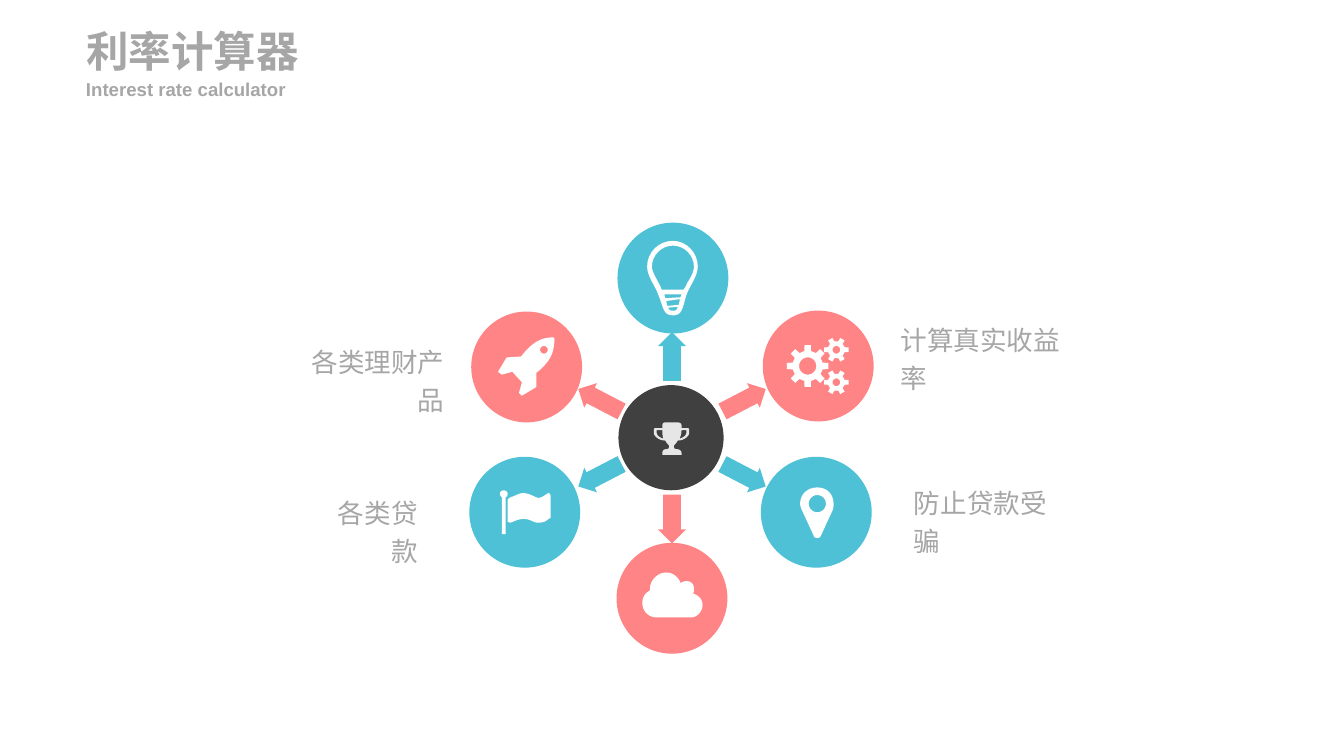
"""Build the interest rate calculator slide: a hub with six linked icons."""
from math import cos, pi, radians, sin

from pptx import Presentation
from pptx.dml.color import RGBColor
from pptx.enum.shapes import MSO_SHAPE
from pptx.enum.text import MSO_ANCHOR, MSO_AUTO_SIZE, PP_ALIGN
from pptx.util import Inches, Pt

TEAL, CORAL, DARK, PALE, WHITE, GREY = "4EC1D6", "FF8486", "404040", "E7E6E6", "FFFFFF", "A6A6A6"
CURVE_STEPS = 8


def ring(x, y, radius):
    """Return the points of a circular contour."""
    return [(x + radius * cos(k * pi / 18), y + radius * sin(k * pi / 18)) for k in range(36)]


def gear(x, y, tip, root, teeth):
    """Return the points of a toothed wheel."""
    pitch = 2 * pi / teeth
    profile = [(-0.28, root), (-0.19, tip), (0.19, tip), (0.28, root)]
    return [(x + radius * cos((k + turn) * pitch), y + radius * sin((k + turn) * pitch))
            for k in range(teeth) for turn, radius in profile]


TROPHY = [
    [(7.21, 4.53), (7.21, 4.56, 7.16, 4.61, 7.09, 4.61), (7.08, 4.63, 7.07, 4.64, 7.07, 4.64),
     (7.06, 4.65, 7.05, 4.66, 7.05, 4.67), (7.05, 4.69, 7.06, 4.7, 7.08, 4.7),
     (7.1, 4.7, 7.13, 4.71, 7.13, 4.74), (7.13, 4.76), (6.93, 4.76), (6.93, 4.74),
     (6.93, 4.71, 6.95, 4.7, 6.97, 4.7), (6.99, 4.7, 7, 4.69, 7, 4.67),
     (7, 4.66, 6.99, 4.65, 6.98, 4.64), (6.98, 4.64, 6.97, 4.63, 6.96, 4.61),
     (6.89, 4.61, 6.84, 4.56, 6.84, 4.53), (6.84, 4.5), (6.84, 4.48, 6.85, 4.48, 6.86, 4.48),
     (6.93, 4.48), (6.93, 4.45), (6.93, 4.43, 6.94, 4.42, 6.96, 4.42), (7.09, 4.42),
     (7.11, 4.42, 7.13, 4.43, 7.13, 4.45), (7.13, 4.48), (7.19, 4.48),
     (7.2, 4.48, 7.21, 4.48, 7.21, 4.5)],
    [(6.93, 4.5), (6.87, 4.5), (6.87, 4.53), (6.87, 4.55, 6.9, 4.58, 6.94, 4.59),
     (6.93, 4.56, 6.93, 4.54, 6.93, 4.5)],
    [(7.18, 4.5), (7.13, 4.5), (7.13, 4.54, 7.12, 4.56, 7.11, 4.59),
     (7.15, 4.58, 7.18, 4.55, 7.18, 4.53)],
]
BULB = [
    [(7.04, 2.52), (6.89, 2.52, 6.77, 2.64, 6.77, 2.79), (6.77, 2.89, 6.86, 3, 6.89, 3.09),
     (6.94, 3.22, 6.94, 3.3, 7.04, 3.3), (7.14, 3.3, 7.14, 3.22, 7.18, 3.09),
     (7.21, 3, 7.3, 2.89, 7.3, 2.79), (7.3, 2.64, 7.18, 2.52, 7.04, 2.52)],
    [(7.1, 3.19), (6.98, 3.2), (6.97, 3.15), (7.11, 3.13), (7.11, 3.15)],
    [(6.96, 3.12), (6.95, 3.08), (7.13, 3.08), (7.12, 3.11)],
    [(7.04, 3.25), (7.02, 3.25, 7, 3.25, 6.99, 3.22), (7.09, 3.21),
     (7.08, 3.25, 7.07, 3.25, 7.04, 3.25)],
    [(7.15, 3.03), (6.92, 3.03), (6.92, 3.01, 6.9, 2.98, 6.89, 2.96),
     (6.86, 2.9, 6.82, 2.84, 6.82, 2.79), (6.82, 2.67, 6.92, 2.57, 7.04, 2.57),
     (7.16, 2.57, 7.26, 2.67, 7.26, 2.79), (7.26, 2.84, 7.23, 2.9, 7.19, 2.96),
     (7.18, 2.98, 7.17, 3.01, 7.15, 3.03)],
]
PIN = [
    [(8.71, 5.34), (8.59, 5.6), (8.58, 5.62, 8.57, 5.63, 8.55, 5.63),
     (8.53, 5.63, 8.51, 5.62, 8.51, 5.6), (8.39, 5.34), (8.38, 5.32, 8.37, 5.29, 8.37, 5.27),
     (8.37, 5.17, 8.45, 5.1, 8.55, 5.1), (8.65, 5.1, 8.72, 5.17, 8.72, 5.27),
     (8.72, 5.29, 8.72, 5.32, 8.71, 5.34)],
    ring(8.55, 5.27, 0.09),
]
ROCKET = [
    [(5.68, 3.84), (5.66, 3.86, 5.64, 3.88, 5.61, 3.9), (5.61, 4.05), (5.46, 4.14), (5.43, 4.11),
     (5.46, 4), (5.36, 3.89), (5.25, 3.92), (5.21, 3.89), (5.3, 3.74), (5.45, 3.73),
     (5.47, 3.71, 5.49, 3.68, 5.51, 3.66), (5.6, 3.57, 5.67, 3.53, 5.79, 3.53), (5.8, 3.54),
     (5.8, 3.67, 5.77, 3.75, 5.68, 3.84)],
    ring(5.69, 3.66, 0.04),
]
CLOUD = [
    [(7.23, 6.46), (6.87, 6.46), (6.78, 6.46, 6.72, 6.39, 6.72, 6.31),
     (6.72, 6.25, 6.75, 6.2, 6.8, 6.18), (6.8, 6.16), (6.8, 6.07, 6.88, 5.99, 6.97, 5.99),
     (7.04, 5.99, 7.1, 6.04, 7.12, 6.1), (7.14, 6.09, 7.16, 6.08, 7.18, 6.08),
     (7.23, 6.08, 7.26, 6.11, 7.26, 6.16), (7.26, 6.18, 7.26, 6.2, 7.25, 6.21),
     (7.31, 6.23, 7.35, 6.27, 7.35, 6.33), (7.35, 6.4, 7.29, 6.46, 7.23, 6.46)],
]
FLAG = [
    [(5.29, 5.2), (5.29, 5.59), (5.25, 5.59), (5.25, 5.2), (5.24, 5.2, 5.23, 5.18, 5.23, 5.16),
     (5.23, 5.15, 5.25, 5.13, 5.27, 5.13), (5.29, 5.13, 5.31, 5.15, 5.31, 5.16),
     (5.31, 5.18, 5.31, 5.2, 5.29, 5.2)],
    [(5.76, 5.42), (5.74, 5.43), (5.71, 5.46, 5.67, 5.47, 5.63, 5.47),
     (5.58, 5.47, 5.55, 5.43, 5.48, 5.43), (5.43, 5.43, 5.39, 5.45, 5.34, 5.47), (5.31, 5.46),
     (5.31, 5.24), (5.31, 5.22, 5.33, 5.21, 5.35, 5.2), (5.39, 5.19, 5.43, 5.16, 5.47, 5.16),
     (5.52, 5.16, 5.56, 5.18, 5.6, 5.2), (5.61, 5.2, 5.62, 5.21, 5.63, 5.21),
     (5.68, 5.21, 5.72, 5.16, 5.74, 5.16), (5.75, 5.16, 5.76, 5.18, 5.76, 5.19)],
]
GEARS = [
    gear(8.45, 3.83, 0.22, 0.16, 8), ring(8.45, 3.83, 0.09),
    gear(8.75, 3.66, 0.13, 0.09, 6), ring(8.75, 3.66, 0.04),
    gear(8.75, 4, 0.13, 0.09, 6), ring(8.75, 4, 0.04),
]
HUB = (6.47, 4.03, 1.1, DARK, TROPHY, PALE)
SATELLITES = [
    (6.46, 2.33, 1.16, TEAL, BULB, WHITE),
    (7.96, 4.78, 1.16, TEAL, PIN, WHITE),
    (4.93, 3.26, 1.16, CORAL, ROCKET, WHITE),
    (6.45, 5.68, 1.16, CORAL, CLOUD, WHITE),
    (4.91, 4.78, 1.16, TEAL, FLAG, WHITE),
    (7.98, 3.25, 1.16, CORAL, GEARS, WHITE),
]
ARROWS = [(242.5, CORAL), (62.5, TEAL), (180, TEAL), (117.5, CORAL), (0, CORAL), (297.5, TEAL)]
ARROW_CENTRE, ARROW_ORBIT, ARROW_SIZE = (7.03, 4.58), 0.85, (0.29, 0.51)
LABELS = [
    ("各类贷款", 3.27, 5.13, 1.1, PP_ALIGN.RIGHT),
    ("各类理财产品", 3, 3.55, 1.65, PP_ALIGN.RIGHT),
    ("计算真实收益率", 9.42, 3.32, 1.92, PP_ALIGN.LEFT),
    ("防止贷款受骗", 9.56, 5.03, 1.65, PP_ALIGN.LEFT),
]


def paint(shape, colour):
    """Give a shape a flat fill without line or shadow."""
    shape.shadow.inherit = False
    shape.fill.solid()
    shape.fill.fore_color.rgb = RGBColor.from_string(colour)
    shape.line.fill.background()


def trace(contour):
    """Turn line points and cubic segments into points in EMU."""
    points = [contour[0]]
    for step in contour[1:]:
        if len(step) == 2:
            points.append(step)
            continue
        (x0, y0), (x1, y1, x2, y2, x3, y3) = points[-1], step
        for k in range(1, CURVE_STEPS + 1):
            t = k / CURVE_STEPS
            a, b, c, d = (1 - t) ** 3, 3 * t * (1 - t) ** 2, 3 * t * t * (1 - t), t ** 3
            points.append((a * x0 + b * x1 + c * x2 + d * x3, a * y0 + b * y1 + c * y2 + d * y3))
    return [(Inches(x), Inches(y)) for x, y in points]


def add_badge(page, left, top, size, colour, icon, icon_colour):
    """Group a disc with the icon drawn on it."""
    group = page.shapes.add_group_shape()
    disc = group.shapes.add_shape(MSO_SHAPE.OVAL, Inches(left), Inches(top), Inches(size), Inches(size))
    paint(disc, colour)
    first, *others = [trace(contour) for contour in icon]
    builder = group.shapes.build_freeform(*first[0])
    builder.add_line_segments(first[1:], close=True)
    for points in others:
        builder.move_to(*points[0])
        builder.add_line_segments(points[1:], close=True)
    paint(builder.convert_to_shape(), icon_colour)


def add_arrow(page, angle, colour):
    """Place an arrow pointing away from the hub."""
    width, height = ARROW_SIZE
    left = ARROW_CENTRE[0] - ARROW_ORBIT * sin(radians(angle)) - width / 2
    top = ARROW_CENTRE[1] + ARROW_ORBIT * cos(radians(angle)) - height / 2
    arrow = page.shapes.add_shape(MSO_SHAPE.DOWN_ARROW, Inches(left), Inches(top), Inches(width), Inches(height))
    arrow.adjustments[0], arrow.adjustments[1] = 0.635, 0.5
    arrow.rotation = angle
    paint(arrow, colour)


def write(box, text, place, size, align=PP_ALIGN.LEFT, bold=False, anchor=MSO_ANCHOR.MIDDLE, spacing=1.0):
    """Place a text box and set its only paragraph."""
    box.left, box.top, box.width, box.height = map(Inches, place)
    frame = box.text_frame
    frame.margin_left = frame.margin_right = frame.margin_top = frame.margin_bottom = 0
    frame.word_wrap, frame.auto_size, frame.vertical_anchor = True, MSO_AUTO_SIZE.NONE, anchor
    frame.text = text
    para = frame.paragraphs[0]
    para.alignment, para.line_spacing = align, spacing
    para.font.name, para.font.size, para.font.bold = "Arial", Pt(size), bold
    para.font.color.rgb = RGBColor.from_string(GREY)


deck = Presentation()
deck.slide_width, deck.slide_height = Inches(14.06), Inches(7.91)
page = deck.slides.add_slide(deck.slide_layouts[5])
add_badge(page, *HUB)
for angle, colour in ARROWS:
    add_arrow(page, angle, colour)
for satellite in SATELLITES:
    add_badge(page, *satellite)
for text, left, top, width, align in LABELS:
    write(page.shapes.add_textbox(0, 0, 0, 0), text, (left, top, width, 0.4), 20, align,
          anchor=MSO_ANCHOR.TOP, spacing=1.2)
write(page.shapes.title, "利率计算器", (0.9, 0.26, 3.07, 0.54), 32, bold=True)
write(page.shapes.add_textbox(0, 0, 0, 0), "Interest rate calculator", (0.9, 0.81, 3.07, 0.24), 14, bold=True)
deck.save("out.pptx")
